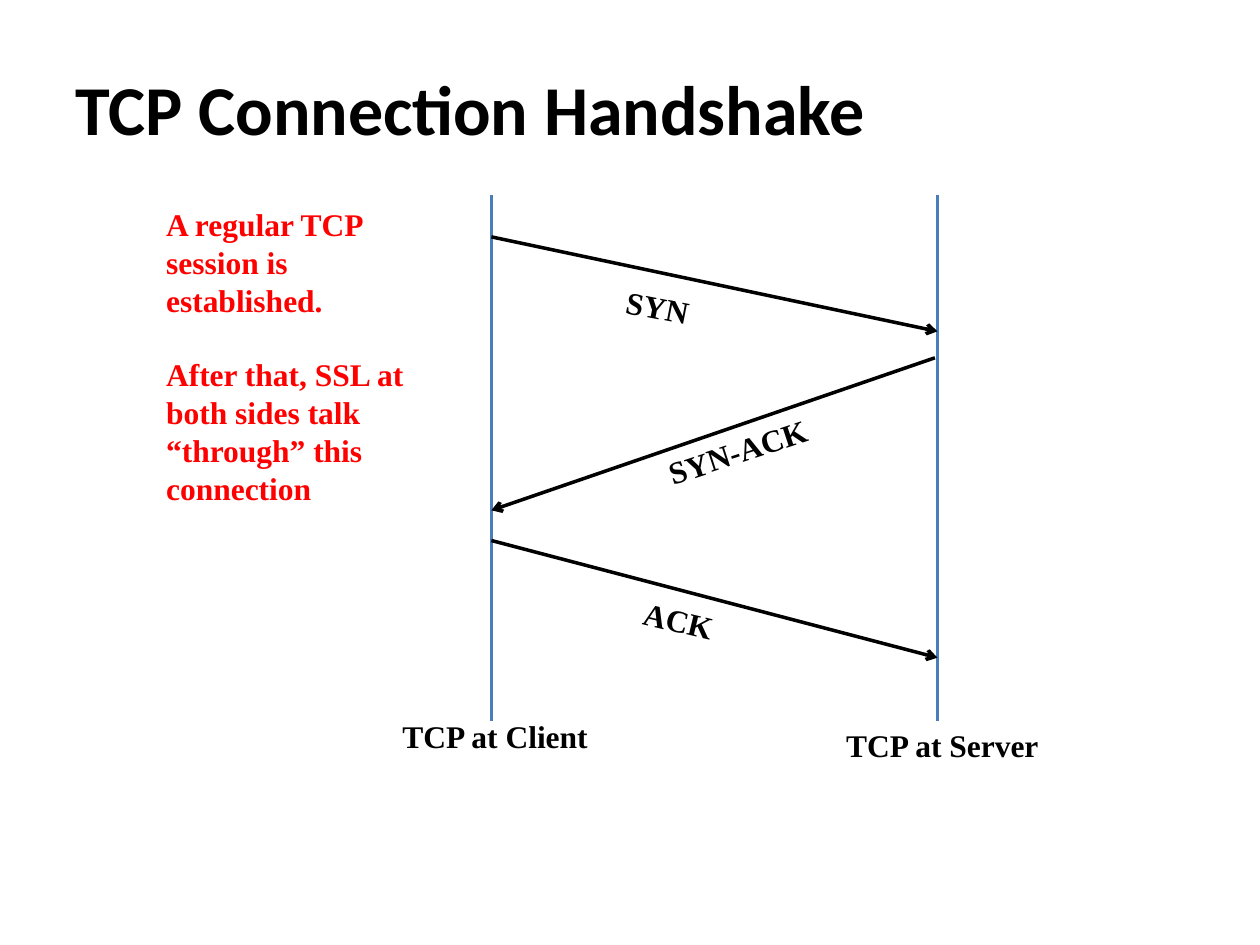
from lxml import etree
from pptx import Presentation
from pptx.dml.color import RGBColor
from pptx.enum import shapes, text
from pptx.oxml.ns import qn
from pptx.util import Inches, Pt

BLACK, RED, BLUE = "000000", "FF0000", "4A7EBB"
SERIF = "Times New Roman"


def color(hex_value):
    return RGBColor.from_string(hex_value)


def add_text(slide, box, paragraphs, size=18, font=SERIF, fill=BLACK,
             align=text.PP_ALIGN.LEFT, anchor=text.MSO_ANCHOR.TOP,
             rotation=0, gap=0):
    """Place bold paragraphs in box, with gap points between them."""
    label = slide.shapes.add_textbox(*map(Inches, box))
    label.rotation = rotation
    frame = label.text_frame
    frame.word_wrap = True
    frame.vertical_anchor = anchor
    for index, words in enumerate(paragraphs):
        paragraph = frame.add_paragraph() if index else frame.paragraphs[0]
        paragraph.text = words
        paragraph.alignment = align
        if index:
            paragraph.space_before = Pt(gap)
        paragraph.font.name = font
        paragraph.font.size = Pt(size)
        paragraph.font.bold = True
        paragraph.font.color.rgb = color(fill)


def add_line(slide, start, end, stroke, arrow=False):
    line = slide.shapes.add_connector(
        shapes.MSO_CONNECTOR.STRAIGHT, *map(Inches, (*start, *end)))
    line.line.color.rgb = color(stroke)
    line.line.width = Pt(2)
    if arrow:
        etree.SubElement(line.line._get_or_add_ln(), qn("a:tailEnd"), type="arrow")
    etree.SubElement(line._element.spPr, qn("a:effectLst"))


def add_title(slide, box):
    add_text(slide, box, ["TCP Connection Handshake"], size=40,
             font="Calibri", anchor=text.MSO_ANCHOR.MIDDLE)


def add_note(slide, box):
    add_text(slide, box, [
        "A regular TCP session is established.",
        "After that, SSL at both sides talk “through” this connection",
    ], fill=RED, gap=21)


def add_handshake(slide, box):
    left, top, width, height = box
    right = left + width

    # Lifelines of the two endpoints
    for x in (left, right):
        add_line(slide, (x, top), (x, top + height), BLUE)

    # Endpoint names: centre offset, drop below the lifeline, width
    for name, x, drop, label_width in (
            ("TCP at Client", left + 0.03, -0.08, 2.13),
            ("TCP at Server", right + 0.04, -0.01, 1.97)):
        add_text(slide, (x - label_width / 2, top + height + drop, label_width, 0.4),
                 [name], align=text.PP_ALIGN.CENTER)

    # Messages: start, end, label offset, label width, label angle
    messages = (
        ("SYN", (0, 0.33), (width, 1.08), (0.97, 0.7), 0.84, 11.1),
        ("SYN-ACK", (width - 0.02, 1.29), (0, 2.5), (1.28, 1.8), 1.54, -18.2),
        ("ACK", (0, 2.74), (width, 3.67), (1.1, 3.26), 1.5, 13.6),
    )
    for name, start, end, offset, label_width, angle in messages:
        start, end, corner = ((left + x, top + y) for x, y in (start, end, offset))
        add_line(slide, start, end, BLACK, arrow=True)
        add_text(slide, (*corner, label_width, 0.4), [name], rotation=angle)


def main():
    deck = Presentation()
    deck.slide_width, deck.slide_height = Inches(10), Inches(7.5)
    slide = deck.slides.add_slide(deck.slide_layouts[6])
    add_title(slide, (0.5, 0.31, 9, 1.09))
    add_handshake(slide, (3.9, 1.55, 3.54, 4.17))
    add_note(slide, (1.22, 1.58, 2.2, 2.5))
    deck.save("out.pptx")


if __name__ == "__main__":
    main()
